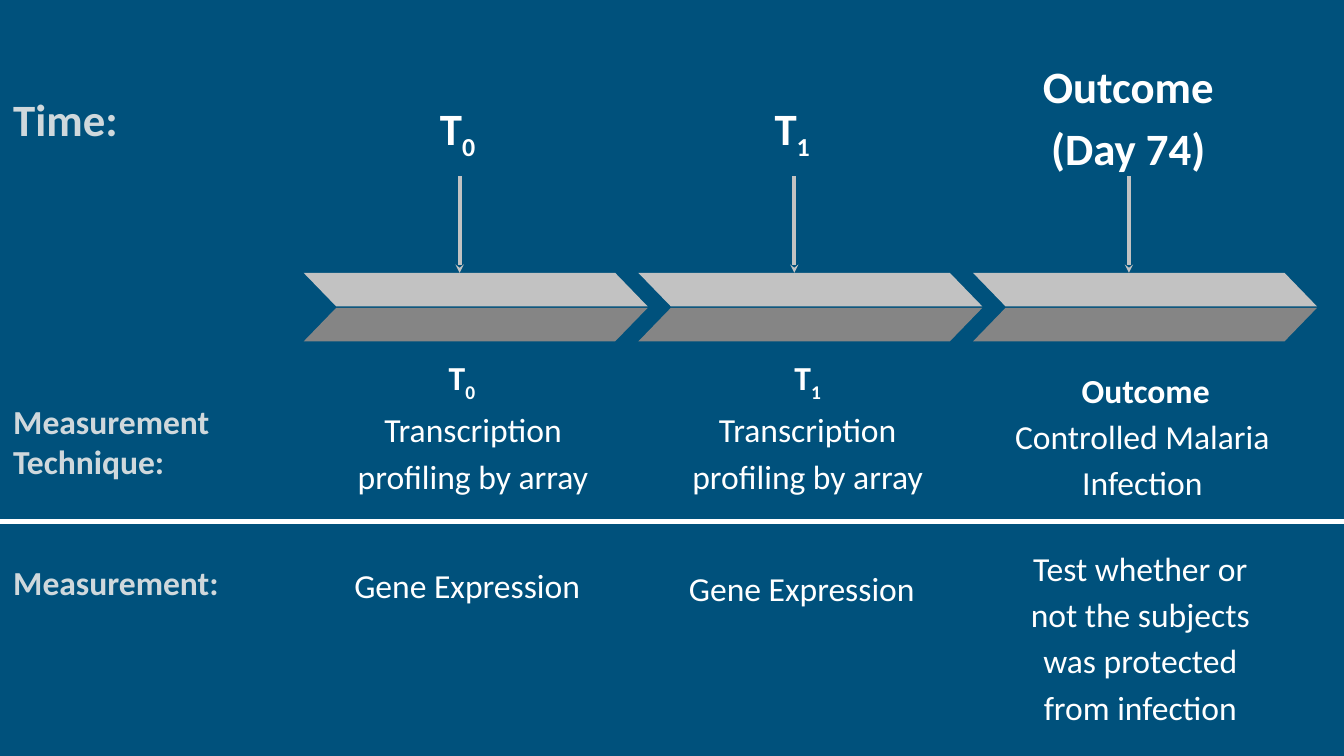
"""Build a study timeline slide with three stages and their measurements."""
from pptx import Presentation
from pptx import util as u
from pptx.dml.color import RGBColor
from pptx.enum import shapes, text
from pptx.oxml.ns import qn
from lxml import etree

WHITE, PALE, LIGHT, DARK, NAVY = "FFFFFF", "CFD8DC", "C2C2C2", "858585", "00517C"
LEFT, STEP = 2.26, 2.49
START, CENTER = text.PP_ALIGN.LEFT, text.PP_ALIGN.CENTER
TOP, BOTTOM = text.MSO_ANCHOR.TOP, text.MSO_ANCHOR.BOTTOM


def rgb(value):
    return RGBColor.from_string(value)


class Deck:
    def __init__(self, width, height, background):
        self.prs = Presentation()
        self.prs.slide_width, self.prs.slide_height = u.Inches(width), u.Inches(height)
        self.s = self.prs.slides.add_slide(self.prs.slide_layouts[6])
        self.s.background.fill.solid()
        self.s.background.fill.fore_color.rgb = rgb(background)
        self.shapes = self.s.shapes

    def group(self):
        self.shapes = self.s.shapes.add_group_shape().shapes

    def ungroup(self):
        self.shapes = self.s.shapes

    def textbox(self, x, y, w, h, anchor=TOP):
        tf = self.shapes.add_textbox(*map(u.Inches, (x, y, w, h))).text_frame
        tf.word_wrap = True
        tf.vertical_anchor = anchor
        tf.margin_left = tf.margin_right = tf.margin_top = tf.margin_bottom = u.Inches(0.1)
        return tf

    def paragraph(self, tf, words, size=18, bold=False, color=WHITE, align=CENTER,
                  spacing=1.15, before=0, after=0, sub="", indent=0):
        p = tf.paragraphs[0]
        if p.runs:
            p = tf.add_paragraph()
        p.alignment, p.line_spacing = align, spacing
        p.space_before, p.space_after = u.Pt(before), u.Pt(after)
        f = p.font
        f.name, f.size, f.bold, f.color.rgb = "Calibri", u.Pt(size), bold, rgb(color)
        p.add_run().text = words
        if sub:
            r = p.add_run()
            r.text = sub
            r._r.get_or_add_rPr().set("baseline", "-25000")
        if indent:
            pPr = p._p.get_or_add_pPr()
            pPr.set("marL", "0")
            pPr.set("indent", str(u.Inches(indent)))

    def line(self, x1, y1, x2, y2, color, arrow=False):
        c = self.shapes.add_connector(shapes.MSO_CONNECTOR.STRAIGHT,
                                      *map(u.Inches, (x1, y1, x2, y2)))
        c.line.color.rgb, c.line.width = rgb(color), u.Pt(2.25)
        if arrow:
            etree.SubElement(c.line._get_or_add_ln(), qn("a:tailEnd"),
                             type="stealth", w="sm", len="sm")
        etree.SubElement(c._element.spPr, qn("a:effectLst"))

    def band(self, x, y, color, flip=False):
        sp = self.shapes.add_shape(shapes.MSO_SHAPE.PARALLELOGRAM,
                                   *map(u.Inches, (x, y, 2.56, 0.25)))
        sp.adjustments[0] = 0.97
        sp.shadow.inherit = False
        sp.fill.solid()
        sp.fill.fore_color.rgb = rgb(color)
        sp.line.fill.background()
        if flip:
            sp._element.spPr.find(qn("a:xfrm")).set("flipH", "1")

    def chevron(self, x):
        self.line(x + 1.16, 1.31, x + 1.16, 2.03, LIGHT, arrow=True)
        self.band(x, 2.03, LIGHT, flip=True)
        self.band(x, 2.29, DARK)

    def time_stage(self, x, number, y, align=CENTER, indent=0):
        self.group()
        tf = self.textbox(x + 0.71, 0.58, 0.87, 0.42)
        self.paragraph(tf, "T", 24, True, sub=number)
        tf = self.textbox(x + 0.21, 2.62, 2.1, 1.17, BOTTOM)
        self.paragraph(tf, "T", bold=True, align=align, sub=number, indent=indent)
        self.paragraph(tf, "Transcription profiling by array")
        tf = self.textbox(x + 0.18, y, 2.13, 1.28)
        self.paragraph(tf, "Gene Expression ", after=16)
        self.chevron(x)

    def outcome_stage(self, x):
        self.group()
        tf = self.textbox(x + 0.37, 0.28, 1.57, 0.42)
        for words in ("Outcome", "(Day 74)"):
            self.paragraph(tf, words, 24, True)
        tf = self.textbox(x + 0.21, 2.96, 2.1, 0.88, BOTTOM)
        self.paragraph(tf, "Outcome", bold=True, align=START, indent=0.5)
        self.paragraph(tf, "Controlled Malaria Infection")
        tf = self.textbox(x + 0.18, 3.93, 2.13, 1.34)
        self.paragraph(tf, "Test whether or not the subjects was protected from infection")
        self.chevron(x)

    def row_labels(self):
        self.ungroup()
        tf = self.textbox(0, 0.58, 2.36, 4.77)
        for words, size, before in (("Time:", 24, 0), ("Measurement Technique:", 18, 137),
                                    ("Measurement:", 18, 43)):
            self.paragraph(tf, words, size, True, PALE, START, 1, before)


def main():
    deck = Deck(10, 10 * 9 / 16, NAVY)
    deck.time_stage(LEFT, "0", 4.06, START, 0.77)
    deck.time_stage(LEFT + STEP, "1", 4.08)
    deck.outcome_stage(LEFT + 2 * STEP)
    deck.row_labels()
    deck.line(0, 3.88, 10, 3.88, WHITE)
    deck.prs.save("out.pptx")


if __name__ == "__main__":
    main()
